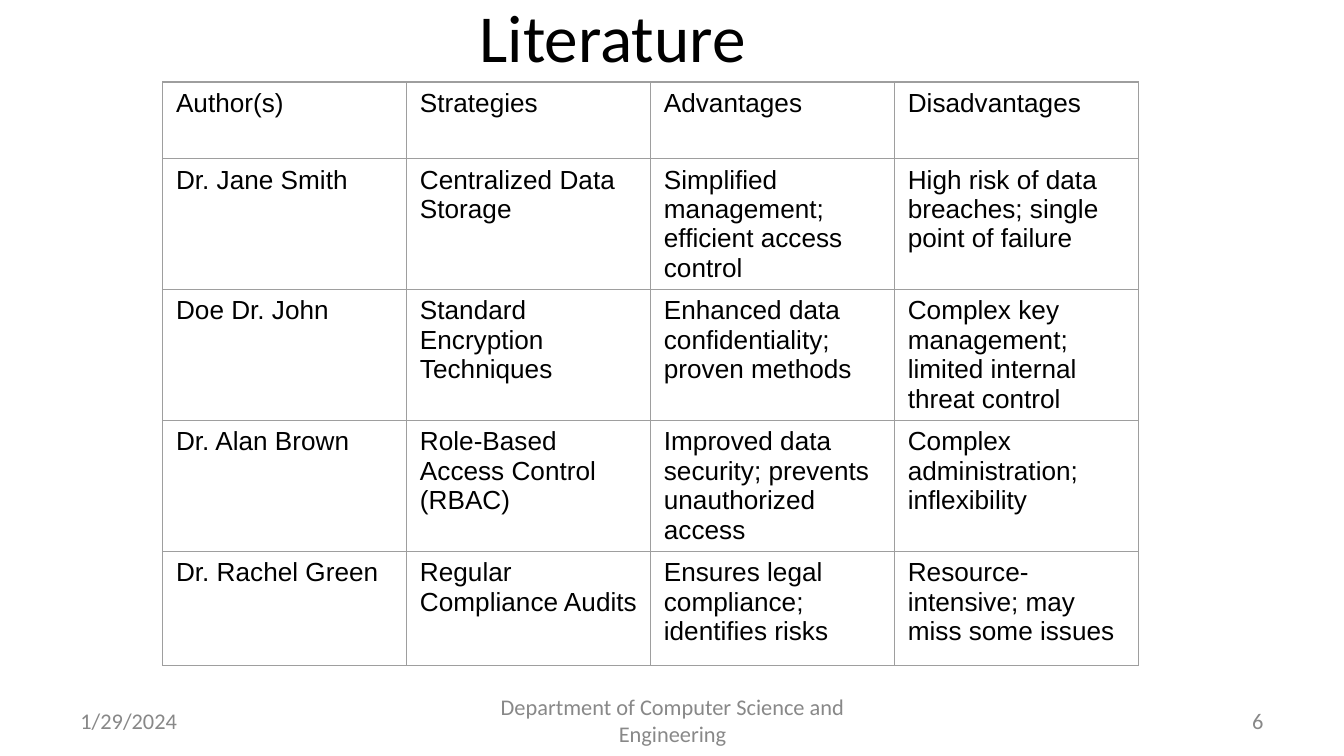
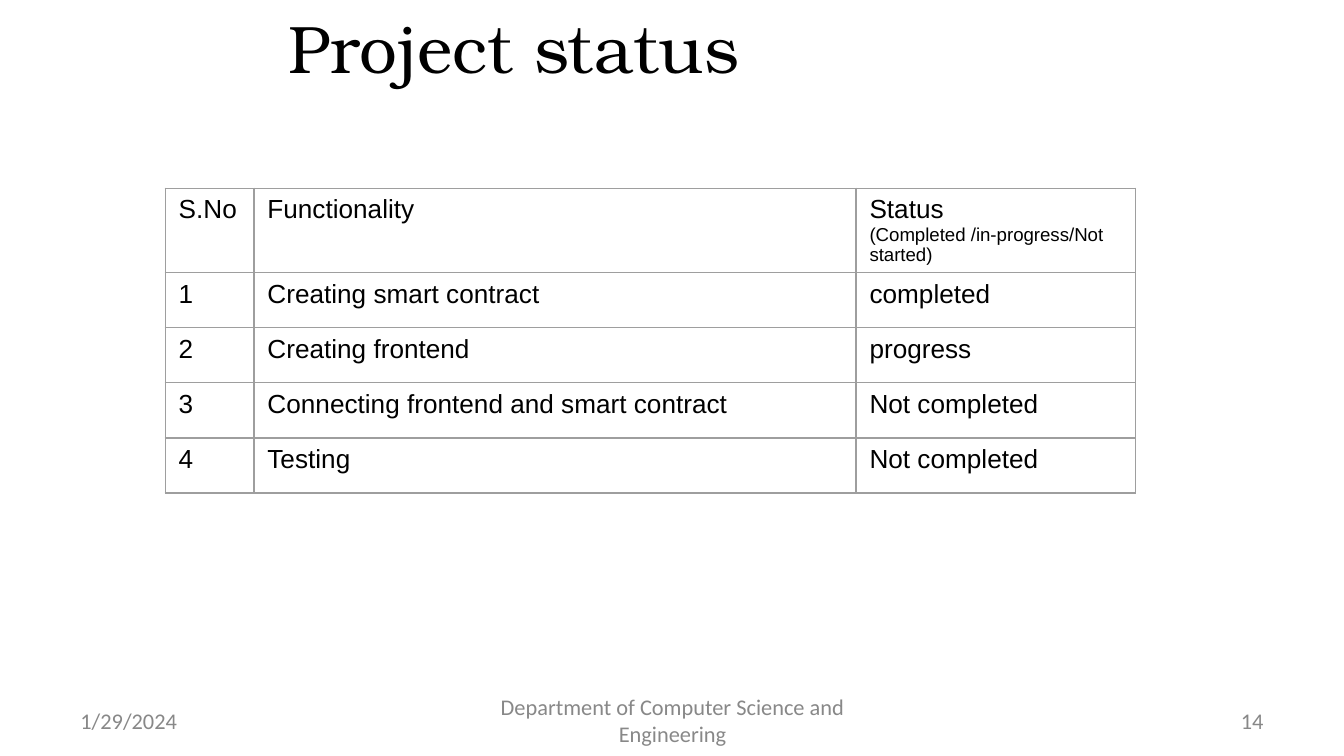
from lxml.etree import SubElement
from pptx import Presentation
from pptx.dml.color import RGBColor
from pptx.enum.text import MSO_ANCHOR, MSO_AUTO_SIZE, PP_ALIGN
from pptx.oxml.ns import qn
from pptx.util import Inches, Pt

# Shared look, on a 16:9 slide
WIDTH = 10
HEIGHT = WIDTH * 9 / 16
TITLE_SIZE = (6.69, 0.69)
BLACK, GREY, BORDER = "000000", "888888", "9E9E9E"
TITLE = {"name": "Calibri", "size": 36, "color": BLACK}
FOOTER = {"name": "Calibri", "size": 12, "color": GREY}
CELL = {"name": "Arial", "size": 14, "color": BLACK}
NOTE = {**CELL, "size": 10}
FRAME = {"word_wrap": True, "auto_size": MSO_AUTO_SIZE.NONE,
         "vertical_anchor": MSO_ANCHOR.MIDDLE,
         "margin_left": Inches(0.1), "margin_right": Inches(0.1),
         "margin_top": Inches(0.05), "margin_bottom": Inches(0.05)}
FOOTER_TOP, FOOTER_HEIGHT = 5.21, 0.3
DATE = "1/29/2024"
DEPARTMENT = "Department of Computer Science and Engineering"

# Slide content
LITERATURE = [
    ["Author(s)", "Strategies", "Advantages", "Disadvantages"],
    ["Dr. Jane Smith", "Centralized Data Storage",
     "Simplified management; efficient access control",
     "High risk of data breaches; single point of failure"],
    ["Doe Dr. John", "Standard Encryption Techniques",
     "Enhanced data confidentiality; proven methods",
     "Complex key management; limited internal threat control"],
    ["Dr. Alan Brown", "Role-Based Access Control (RBAC)",
     "Improved data security; prevents unauthorized access",
     "Complex administration; inflexibility"],
    ["Dr. Rachel Green", "Regular Compliance Audits",
     "Ensures legal compliance; identifies risks",
     "Resource-intensive; may miss some issues"],
]
STATUS = [
    ["S.No", "Functionality", "Status\n(Completed /in-progress/Not started)"],
    ["1", "Creating smart contract", "completed"],
    ["2", "Creating frontend", "progress"],
    ["3", "Connecting frontend and smart contract", "Not completed"],
    ["4", "Testing", "Not completed"],
]


def rgb(value):
    return RGBColor.from_string(value)


def apply(target, values):
    for name, value in values.items():
        setattr(target, name, value)


def write(paragraph, text, style, align=PP_ALIGN.LEFT):
    run = paragraph.add_run()
    run.text = text
    apply(run.font, {"name": style["name"], "size": Pt(style["size"]), "bold": False})
    run.font.color.rgb = rgb(style["color"])
    paragraph.alignment = align


def fill_box(shape, text, style, align):
    apply(shape.text_frame, FRAME)
    write(shape.text_frame.paragraphs[0], text, style, align)


def add_title(slide, text, left, top, style=TITLE):
    title = slide.shapes.title
    width, height = TITLE_SIZE
    apply(title, {"left": Inches(left), "top": Inches(top),
                  "width": Inches(width), "height": Inches(height)})
    fill_box(title, text, style, PP_ALIGN.CENTER)


def add_footer(slide, number):
    parts = [(0.5, 2.33, DATE, PP_ALIGN.LEFT),
             (3.42, 3.17, DEPARTMENT, PP_ALIGN.CENTER),
             (7.17, 2.33, number, PP_ALIGN.RIGHT)]
    for left, width, text, align in parts:
        box = slide.shapes.add_textbox(Inches(left), Inches(FOOTER_TOP),
                                       Inches(width), Inches(FOOTER_HEIGHT))
        fill_box(box, text, FOOTER, align)


def add_borders(cell):
    properties = cell._tc.get_or_add_tcPr()
    for side in ("a:lnL", "a:lnR", "a:lnT", "a:lnB"):
        line = SubElement(properties, qn(side), w=str(Pt(0.75)))
        solid = SubElement(line, qn("a:solidFill"))
        SubElement(solid, qn("a:srgbClr"), val=BORDER)


def fill_cell(cell, text):
    add_borders(cell)
    cell.fill.background()
    first, *notes = text.split("\n")
    write(cell.text_frame.paragraphs[0], first, CELL)
    for note in notes:
        write(cell.text_frame.add_paragraph(), note, NOTE)


def add_grid(slide, rows, left, top, widths, heights):
    frame = slide.shapes.add_table(len(rows), len(widths), Inches(left), Inches(top),
                                   Inches(sum(widths)), Inches(sum(heights)))
    table = frame.table
    apply(table, {"first_row": False, "horz_banding": False})
    for column, width in zip(table.columns, widths):
        column.width = Inches(width)
    for row, height, texts in zip(table.rows, heights, rows):
        row.height = Inches(height)
        for cell, text in zip(row.cells, texts):
            fill_cell(cell, text)


def add_slide(presentation, number):
    slide = presentation.slides.add_slide(presentation.slide_layouts[5])
    add_footer(slide, number)
    return slide


def main():
    presentation = Presentation()
    apply(presentation, {"slide_width": Inches(WIDTH), "slide_height": Inches(HEIGHT)})

    # Literature
    slide = add_slide(presentation, "6")
    add_title(slide, "Literature ", 1.27, -0.08)
    add_grid(slide, LITERATURE, 1.21, 0.61, [7.26 / 4] * 4, [0.57] + [0.86] * 3 + [0.85])

    # Project status
    slide = add_slide(presentation, "14")
    add_title(slide, "Project status", 0.48, 0, {**TITLE, "name": "TeX Gyre Bonum"})
    add_grid(slide, STATUS, 1.23, 1.4, [0.66, 4.48, 2.08], [0.41] * 5)

    presentation.save("out.pptx")


if __name__ == "__main__":
    main()
